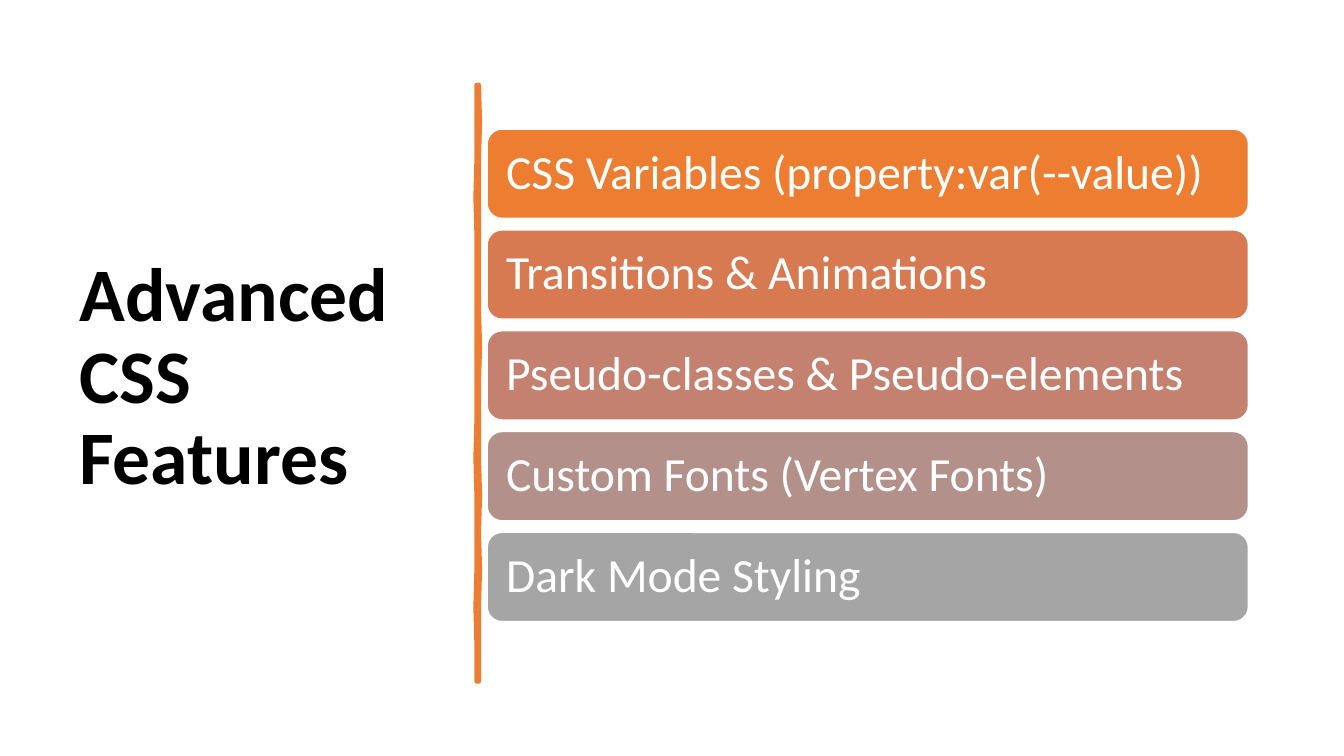
import dataclasses

import pptx
import pptx.dml.color
import pptx.enum.shapes
import pptx.enum.text
import pptx.oxml
import pptx.oxml.ns
import pptx.util

PX = 9525


@dataclasses.dataclass(frozen=True)
class Theme:
    font: str = "Calibri"
    title_size: int = 54
    bar_size: int = 34
    ink: str = "000000"
    paper: str = "FFFFFF"
    accent: str = "ED7D31"
    bars: tuple = ("ED7D31", "D87A51", "C48170", "B4908B", "A5A5A5")


@dataclasses.dataclass(frozen=True)
class Box:
    left: int
    top: int
    width: int
    height: int

    def emu(self):
        return [value * PX for value in dataclasses.astuple(self)]


THEME = Theme()
FEATURES = (
    "CSS Variables (property:var(--value))",
    "Transitions & Animations",
    "Pseudo-classes & Pseudo-elements",
    "Custom Fonts (Vertex Fonts)",
    "Dark Mode Styling",
)


def rgb(value):
    return pptx.dml.color.RGBColor.from_string(value)


def paint(shape, fill, line, points):
    shape.shadow.inherit = False
    shape.fill.solid()
    shape.fill.fore_color.rgb = rgb(fill)
    shape.line.color.rgb = rgb(line)
    shape.line.width = pptx.util.Pt(points)


def write(shape, text, size, color, bold=False):
    frame = shape.text_frame
    frame.text = text
    frame.word_wrap = True
    frame.auto_size = pptx.enum.text.MSO_AUTO_SIZE.NONE
    frame.vertical_anchor = pptx.enum.text.MSO_ANCHOR.MIDDLE
    para = frame.paragraphs[0]
    para.alignment = pptx.enum.text.PP_ALIGN.LEFT
    para.line_spacing = 0.9
    para.font.name = THEME.font
    para.font.size = pptx.util.Pt(size)
    para.font.bold = bold
    para.font.color.rgb = rgb(color)


def add_title(page, box, text):
    title = page.shapes.title
    title.left, title.top, title.width, title.height = box.emu()
    write(title, text, THEME.title_size, THEME.ink, bold=True)


def add_brush_line(page, box):
    wobble_right = (0, 1, 0, 0, 0, 0, 0, 1, 0, 0, 0, 1, 0, 1, 0, 0, 0)
    wobble_left = (0, 0, 0, -1, 0, 0, 0, 0, 0, 0, -1, 0, 0, 0, -1, 0, 0)
    step = box.height / (len(wobble_right) - 1)
    right = [(box.left + box.width + shift, box.top + index * step)
             for index, shift in enumerate(wobble_right)]
    left = [(box.left + shift, box.top + index * step)
            for index, shift in enumerate(wobble_left)]
    outline = right + left[::-1]
    builder = page.shapes.build_freeform(*outline[0], scale=PX)
    builder.add_line_segments(outline[1:], close=True)
    brush = builder.convert_to_shape()
    paint(brush, THEME.accent, THEME.accent, 3.25)
    brush.line._get_or_add_ln().append(
        pptx.oxml.parse_xml(f'<a:round {pptx.oxml.ns.nsdecls("a")}/>'))


def add_feature_bars(page, box, features):
    gap = 11
    height = (box.height - gap * (len(features) - 1)) // len(features)
    for index, (feature, color) in enumerate(zip(features, THEME.bars)):
        place = Box(box.left, box.top + index * (height + gap), box.width, height)
        bar = page.shapes.add_shape(
            pptx.enum.shapes.MSO_SHAPE.ROUNDED_RECTANGLE, *place.emu())
        paint(bar, color, THEME.paper, 1)
        write(bar, feature, THEME.bar_size, THEME.paper)
        bar.text_frame.margin_left = bar.text_frame.margin_right = 14 * PX


def add_feature_slide(deck, box):
    page = deck.slides.add_slide(deck.slide_layouts[5])
    page.background.fill.solid()
    page.background.fill.fore_color.rgb = rgb(THEME.paper)
    add_title(page, Box(box.left + 66, box.top + 67, 359, 587),
              "Advanced CSS Features")
    add_brush_line(page, Box(box.left + 454, box.top + 81, 2, 568))
    add_feature_bars(page, Box(box.left + 464, box.top + 123, 725, 469), FEATURES)


def main():
    deck = pptx.Presentation()
    canvas = Box(0, 0, 1280, 720)
    deck.slide_width = canvas.width * PX
    deck.slide_height = canvas.height * PX
    add_feature_slide(deck, canvas)
    deck.save("out.pptx")


if __name__ == "__main__":
    main()
